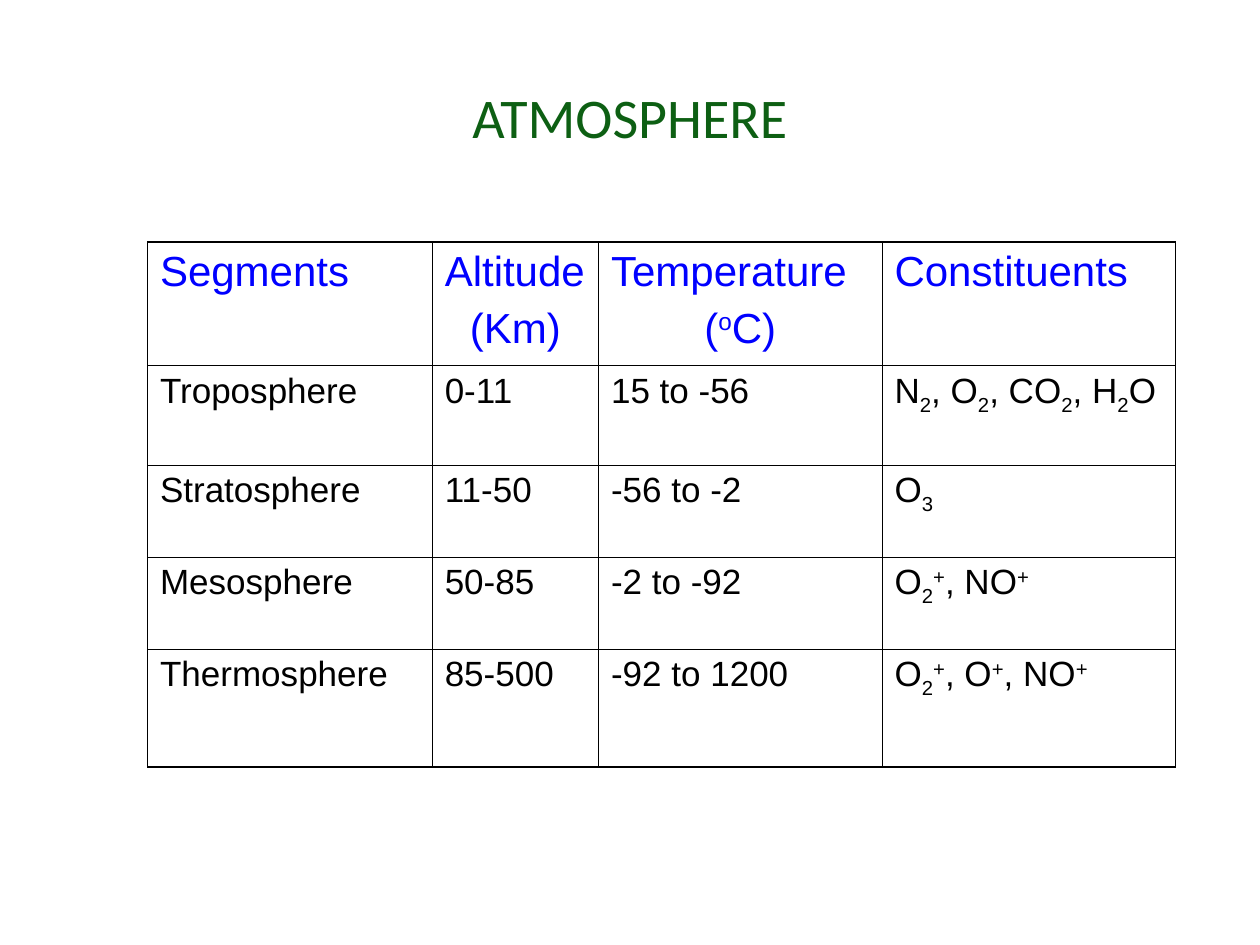
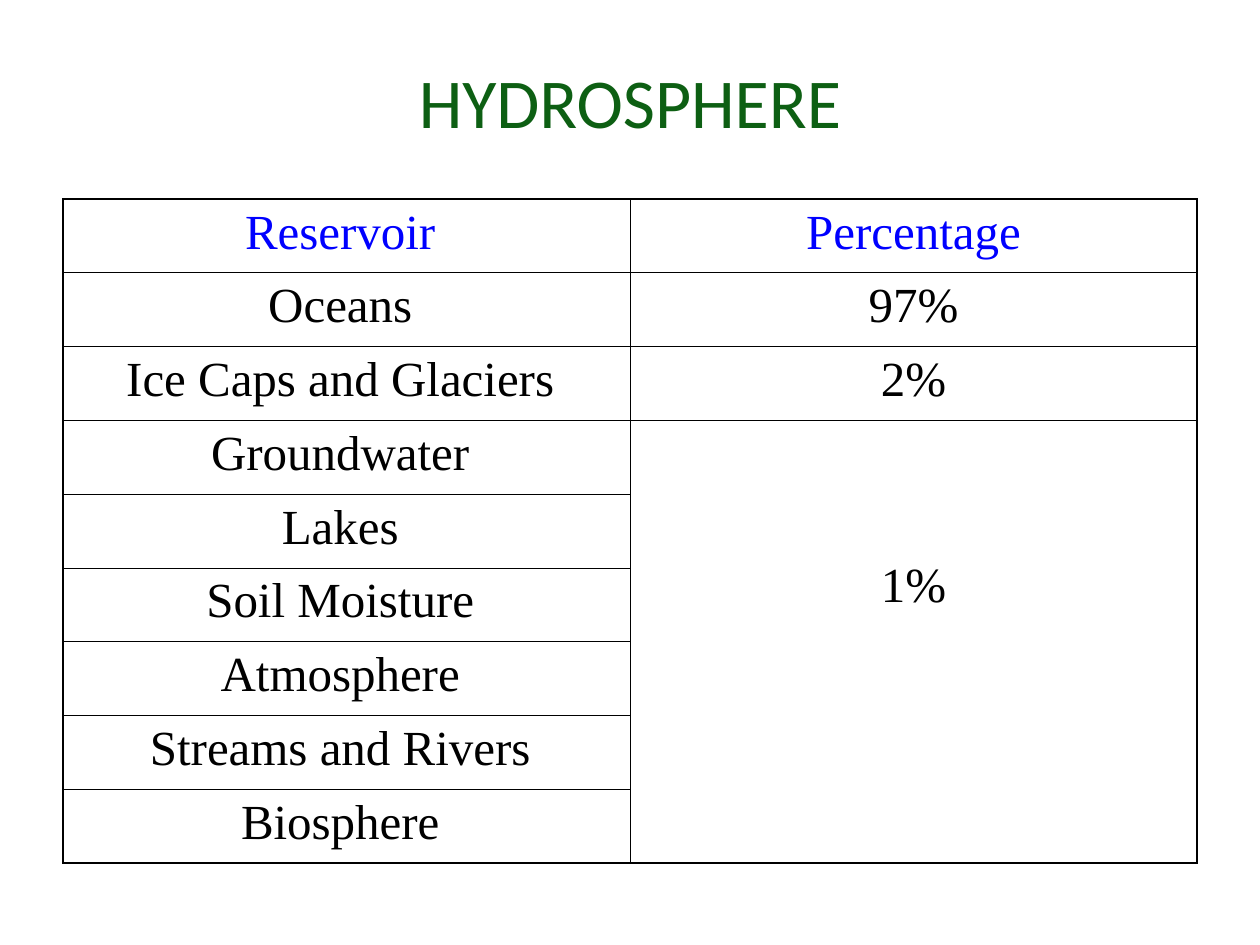
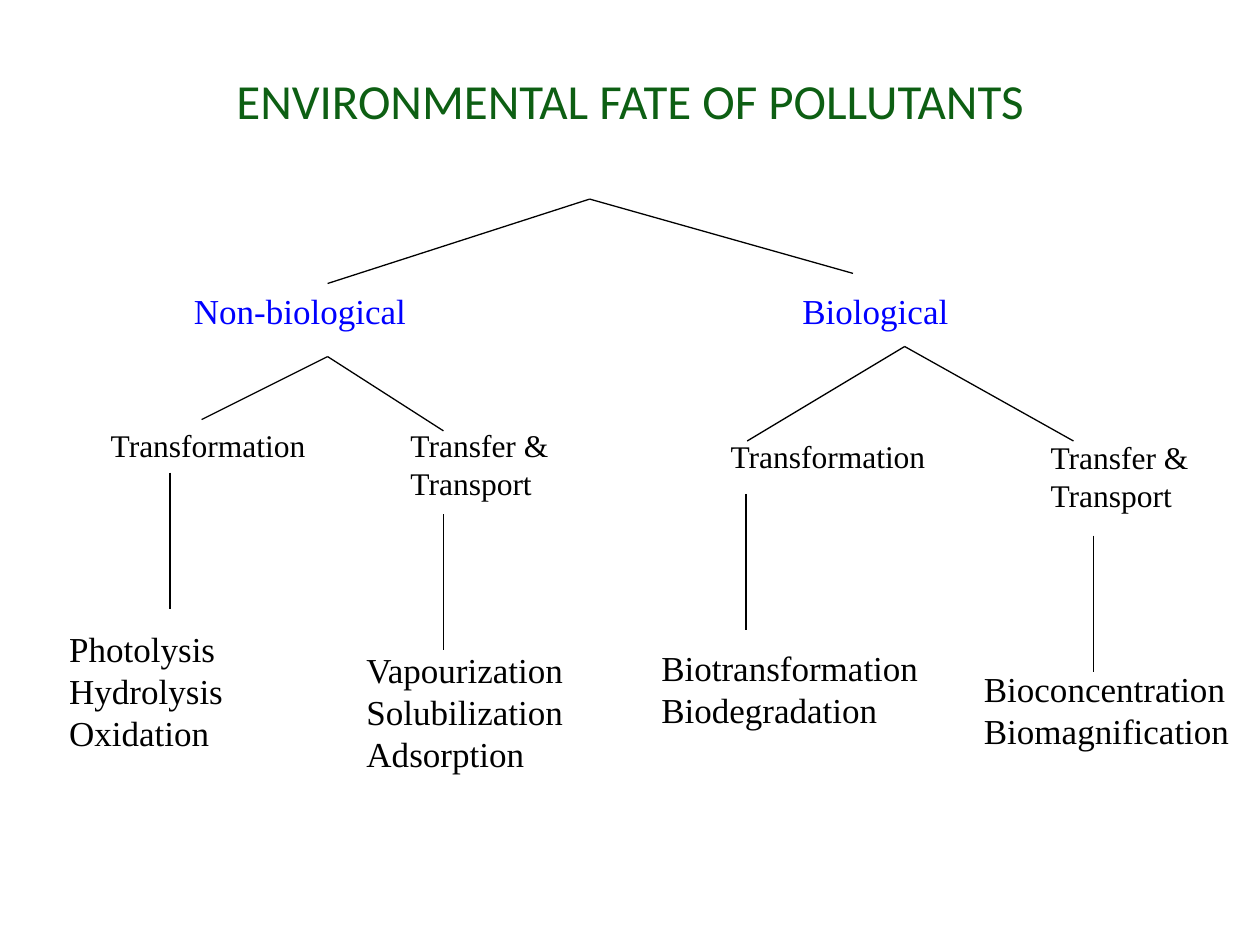
from lxml import etree
from pptx import Presentation, util as u
from pptx.dml.color import RGBColor
from pptx.enum import shapes, text
from pptx.oxml.ns import qn

GREEN = RGBColor(0x0D, 0x5F, 0x13)
BLUE = RGBColor(0x00, 0x00, 0xFF)
BLACK = RGBColor(0x00, 0x00, 0x00)

COLUMNS, ROWS = 100, 75
CELL = u.Inches(0.1)
SERIF, SANS, TITLE_FONT = "Times New Roman", "Arial", "Calibri"
CENTER = text.PP_ALIGN.CENTER
THIN, THICK = 0.45, 1.08
BASELINES = {"_": "-25000", "^": "30000"}

SEGMENTS = [
    ["Segments", "Altitude\n(Km)", "Temperature\n(^oC)", "Constituents"],
    ["Troposphere", "0-11", "15 to -56", "N_2, O_2, CO_2, H_2O"],
    ["Stratosphere", "11-50", "-56 to -2", "O_3"],
    ["Mesosphere", "50-85", "-2 to -92", "O_2^+, NO^+"],
    ["Thermosphere", "85-500", "-92 to 1200", "O_2^+, O^+, NO^+"],
]
# None marks a cell that is merged into the one above
RESERVOIRS = [
    ["Reservoir", "Percentage"],
    ["Oceans", "97%"],
    ["Ice Caps and Glaciers", "2%"],
    ["Groundwater", "1%"],
    ["Lakes", None],
    ["Soil Moisture", None],
    ["Atmosphere", None],
    ["Streams and Rivers", None],
    ["Biosphere", None],
]

# Each label: words, left, top, width, height
BRANCHES = [
    ("Non-biological", 14.4, 22.5, 19.2, 4.4),
    ("Biological", 62.7, 22.5, 13.6, 4.4),
]
PATHWAYS = [
    ("Transformation", 7.8, 33.3, 17.5, 4),
    ("Transfer &\nTransport", 31.6, 33.3, 13, 7),
    ("Transformation", 57, 34.2, 17.5, 4),
    ("Transfer &\nTransport", 82.4, 34.3, 13, 7),
]
PROCESSES = [
    ("Photolysis\nHydrolysis\nOxidation", 4.5, 49.3, 14.2, 11),
    ("Vapourization\nSolubilization\nAdsorption", 28.1, 51, 17.9, 11),
    ("Biotransformation\nBiodegradation", 51.5, 50.8, 22.4, 7.7),
    ("Bioconcentration\nBiomagnification", 77.1, 52.5, 21.5, 7.7),
]
# Each fork: its top point, then the two points it opens to
FORKS = [
    ((46.8, 15.8), (26, 22.5), (67.7, 21.7)),
    ((26, 28.3), (16, 33.3), (35.2, 34.2)),
    ((71.8, 27.5), (59.3, 35), (85.2, 35)),
]
STEM_LENGTH = 10.8
STEMS = [(13.5, 37.5), (35.2, 40.8), (59.2, 39.2), (86.8, 42.5)]


def grid(*cells):
    return [u.Emu(round(count * CELL)) for count in cells]


def add_run(paragraph, words, style, baseline=None):
    run = paragraph.add_run()
    run.text = words
    for name in ("name", "size"):
        setattr(run.font, name, style[name])
    run.font.color.rgb = style["color"]
    if baseline:
        run._r.get_or_add_rPr().set("baseline", baseline)


def write_line(paragraph, line, style):
    """Write a line in which _ lowers and ^ raises the next character."""
    plain = ""
    characters = iter(line)
    for character in characters:
        if character in BASELINES:
            if plain:
                add_run(paragraph, plain, style)
            add_run(paragraph, next(characters), style, BASELINES[character])
            plain = ""
        else:
            plain += character
    if plain:
        add_run(paragraph, plain, style)


def write(frame, words, style):
    """Fill a text frame; lines after the first take the later alignment."""
    for index, line in enumerate(words.split("\n")):
        paragraph = frame.paragraphs[0] if index == 0 else frame.add_paragraph()
        paragraph.alignment = style.get("align")
        if index:
            paragraph.alignment = style.get("later_align", style.get("align"))
            paragraph.space_before = style.get("gap")
        write_line(paragraph, line, style)


def add_title(slide, words, size, top=1.7):
    frame = slide.shapes.add_textbox(*grid(5, top, 90, 12.5)).text_frame
    frame.word_wrap = True
    frame.vertical_anchor = text.MSO_ANCHOR.MIDDLE
    write(frame, words, {"name": TITLE_FONT, "size": u.Pt(size),
                         "color": GREEN, "align": CENTER})


def add_label(slide, label, size, color=BLACK):
    words, *place = label
    frame = slide.shapes.add_textbox(*grid(*place)).text_frame
    frame.word_wrap = False
    frame.auto_size = text.MSO_AUTO_SIZE.SHAPE_TO_FIT_TEXT
    write(frame, words, {"name": SERIF, "size": u.Pt(size), "color": color})


def add_line(slide, start, end):
    line = slide.shapes.add_connector(
        shapes.MSO_CONNECTOR.STRAIGHT, *grid(*start, *end))
    line.line.color.rgb = BLACK
    line.line.width = u.Pt(0.75)
    etree.SubElement(line._element.spPr, qn("a:effectLst"))


def set_borders(cell, widths):
    properties = cell._tc.get_or_add_tcPr()
    for side, width in widths.items():
        border = etree.SubElement(properties, qn(f"a:ln{side}"),
                                  w=str(u.Pt(width)))
        fill = etree.SubElement(border, qn("a:solidFill"))
        etree.SubElement(fill, qn("a:srgbClr"), val=str(BLACK))


def add_ruled_table(slide, corner, widths, heights, rows, head, body,
                    thick_sides="LRTB"):
    """Add a table with thin rules and thick rules on the given outer sides."""
    place = grid(*corner, sum(widths), sum(heights))
    table = slide.shapes.add_table(len(rows), len(widths), *place).table
    table.first_row = table.horz_banding = False
    for column, width in zip(table.columns, grid(*widths)):
        column.width = width
    for row, height in zip(table.rows, grid(*heights)):
        row.height = height
    for r, row in enumerate(rows):
        for c, words in enumerate(row):
            cell = table.cell(r, c)
            outer = {"L": c == 0, "R": c == len(row) - 1, "T": r == 0,
                     "B": all(below[c] is None for below in rows[r + 1:])}
            set_borders(cell, {
                side: THICK if is_outer and side in thick_sides else THIN
                for side, is_outer in outer.items()})
            cell.fill.background()
            if words is not None:
                write(cell.text_frame, words, body if r else head)
    return table


def add_atmosphere(slide):
    head = {"name": SANS, "size": u.Pt(24), "color": BLUE,
            "later_align": CENTER, "gap": u.Pt(6)}
    body = {"name": SANS, "size": u.Pt(20), "color": BLACK}
    add_ruled_table(slide, (11.7, 19.2), [22.6, 13.2, 22.5, 23.3],
                    [9.8, 7.9, 7.3, 7.3, 9.4], SEGMENTS, head, body, "RTB")
    add_title(slide, "ATMOSPHERE", 32, top=3)


def add_hydrosphere(slide):
    add_title(slide, "HYDROSPHERE", 40)
    head = {"name": SERIF, "size": u.Pt(28), "color": BLUE, "align": CENTER}
    table = add_ruled_table(slide, (5, 15.8), [45, 45],
                            [52.7 / len(RESERVOIRS)] * len(RESERVOIRS),
                            RESERVOIRS, head, head | {"color": BLACK})
    for row in range(len(RESERVOIRS)):
        table.cell(row, 0).margin_right = u.Inches(0.2)
    remainder = table.cell(3, 1)
    remainder.merge(table.cell(len(RESERVOIRS) - 1, 1))
    remainder.margin_top = u.Inches(1.1)


def add_pollutant_fate(slide):
    add_title(slide, "ENVIRONMENTAL FATE OF POLLUTANTS", 28)
    for top, *ends in FORKS:
        for end in ends:
            add_line(slide, top, end)
    for column, row in STEMS:
        add_line(slide, (column, row), (column, row + STEM_LENGTH))
    for labels, size, color in ((BRANCHES, 20, BLUE), (PATHWAYS, 18, BLACK),
                                (PROCESSES, 20, BLACK)):
        for label in labels:
            add_label(slide, label, size, color)


def main():
    presentation = Presentation()
    presentation.slide_width, presentation.slide_height = grid(COLUMNS, ROWS)
    blank = presentation.slide_layouts[6]
    for fill_slide in (add_atmosphere, add_hydrosphere, add_pollutant_fate):
        fill_slide(presentation.slides.add_slide(blank))
    presentation.save("out.pptx")


if __name__ == "__main__":
    main()
